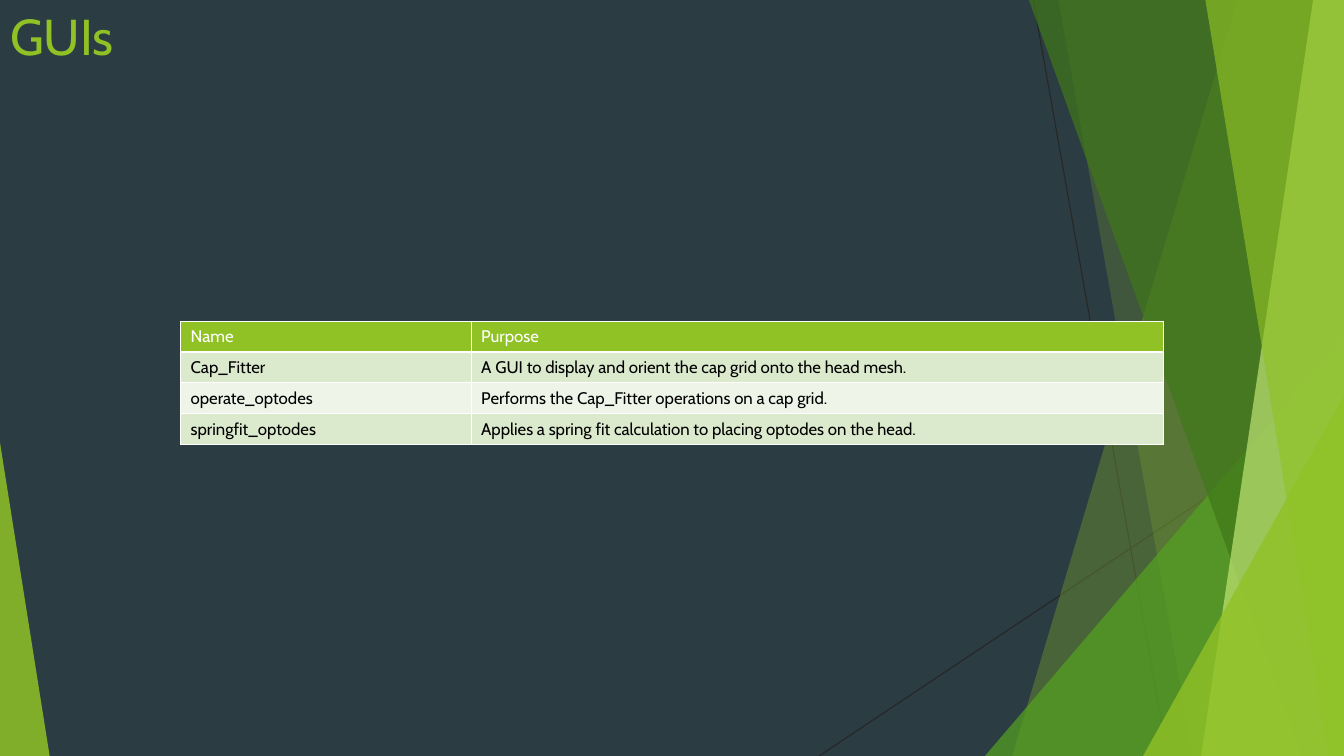
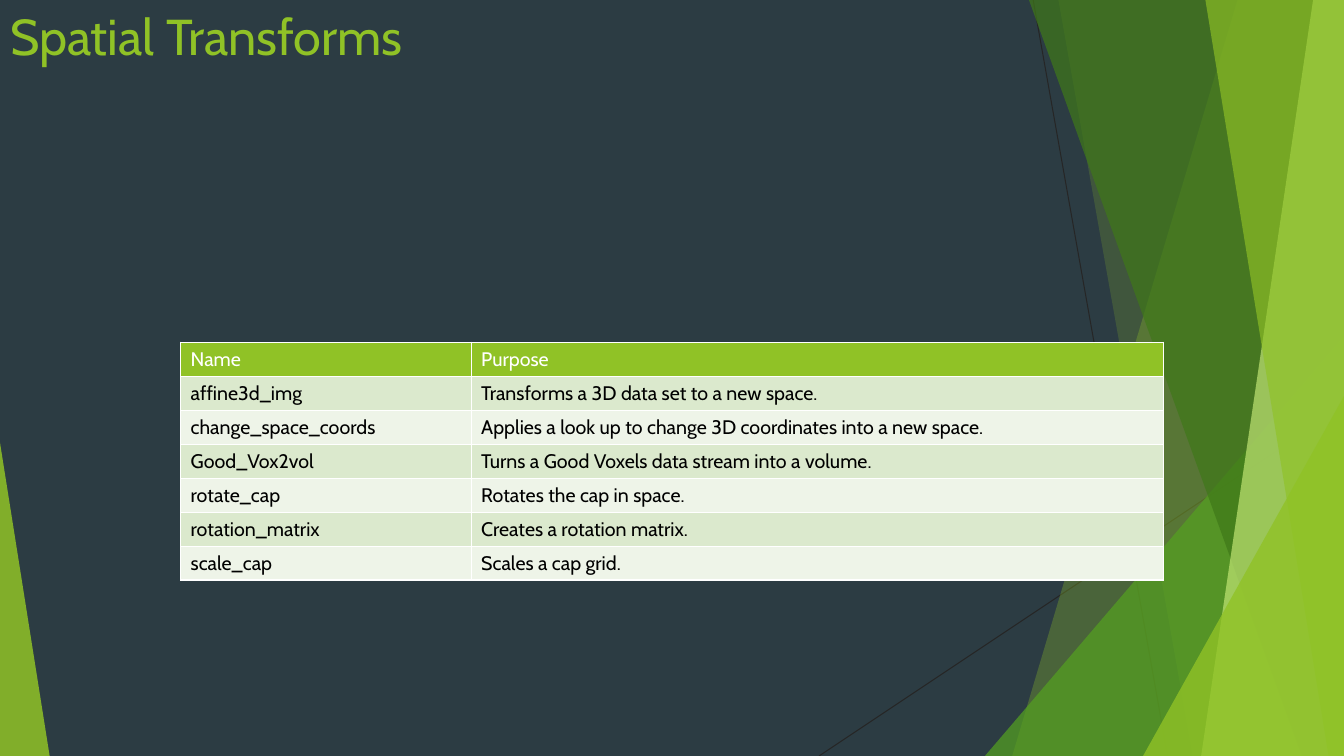
"""Build two reference slides listing the functions of an optode toolkit."""
from lxml import etree
from pptx import Presentation
from pptx.dml.color import RGBColor
from pptx.enum import shapes, text
from pptx.oxml.ns import qn
from pptx.util import Pt

FONT = "Cabin"
WIDTH, HEIGHT = 960, 540
SLATE = RGBColor(0x2C, 0x3C, 0x43)
CHARCOAL = RGBColor(0x26, 0x26, 0x26)
LIME = RGBColor(0x90, 0xC2, 0x26)
LEAF = RGBColor(0x54, 0xA0, 0x21)
FOREST = RGBColor(0x3F, 0x78, 0x19)
PALE_LIME = RGBColor(0xC0, 0xE4, 0x74)
ROW_TINTS = RGBColor(0xDB, 0xE9, 0xCD), RGBColor(0xEE, 0xF4, 0xE8)
WHITE = RGBColor(0xFF, 0xFF, 0xFF)
BLACK = RGBColor(0, 0, 0)

HEADER = ("Name", "Purpose")
PAGES = [
    {
        "title": "GUIs", "top": 229.5, "row_height": 22, "size": 12,
        "functions": [
            ("Cap_Fitter", "A GUI to display and orient the cap grid onto the head mesh."),
            ("operate_optodes", "Performs the Cap_Fitter operations on a cap grid."),
            ("springfit_optodes", "Applies a spring fit calculation to placing optodes on the head."),
        ],
    },
    {
        "title": "Spatial Transforms", "top": 244.5, "row_height": 24.25, "size": 14,
        "functions": [
            ("affine3d_img", "Transforms a 3D data set to a new space."),
            ("change_space_coords", "Applies a look up to change 3D coordinates into a new space."),
            ("Good_Vox2vol", "Turns a Good Voxels data stream into a volume."),
            ("rotate_cap", "Rotates the cap in space."),
            ("rotation_matrix", "Creates a rotation matrix."),
            ("scale_cap", "Scales a cap grid."),
        ],
    },
]
TABLE_LEFT = 129
COLUMN_WIDTHS = (207.5, 494.5)

HAIRLINES = [(738, 0, 834, HEIGHT), (WIDTH, 290, 585, HEIGHT)]
FACETS = [
    ("band", (884, 723), LIME, 30),
    ("band", (756, 852), LIME, 20),
    ("triangle", (703.5, 240, 256.5, 1), LEAF, 72),
    ("band", (735, 930), FOREST, 70),
    ("band", (938, 858), PALE_LIME, 70),
    ("band", (861, 949), LIME, 65),
    ("triangle", (816.5, 283, 143.5, 1), LIME, 80),
    ("triangle", (0, 316, 35.5, 0), LIME, 85),
]


def apply(target, **values):
    for name, value in values.items():
        setattr(target, name, value)


def style_font(font, size, color):
    apply(font, name=FONT, size=Pt(size), bold=False)
    font.color.rgb = color


def add_hairline(slide, ends):
    hairline = slide.shapes.add_connector(shapes.MSO_CONNECTOR.STRAIGHT, *map(Pt, ends))
    hairline.line.width = Pt(0.75)
    hairline.line.color.rgb = CHARCOAL
    etree.SubElement(hairline.element.spPr, qn("a:effectLst"))
    return hairline


def add_band(slide, top_x, bottom_x):
    outline = slide.shapes.build_freeform(top_x, 0, scale=Pt(1))
    outline.add_line_segments([(WIDTH, 0), (WIDTH, HEIGHT), (bottom_x, HEIGHT)])
    return outline.convert_to_shape()


def add_triangle(slide, left, top, width, apex):
    triangle = slide.shapes.add_shape(
        shapes.MSO_SHAPE.ISOSCELES_TRIANGLE, *map(Pt, (left, top, width, HEIGHT - top)))
    triangle.adjustments[0] = apex
    return triangle


def add_facet(slide, kind, geometry, color, opacity):
    facet = {"band": add_band, "triangle": add_triangle}[kind](slide, *geometry)
    facet.shadow.inherit = False
    facet.line.fill.background()
    facet.fill.solid()
    facet.fill.fore_color.rgb = color
    tint = facet.element.spPr.find(".//" + qn("a:srgbClr"))
    etree.SubElement(tint, qn("a:alpha"), val=str(opacity * 1000))
    return facet


def move_backdrop_to_layout(slide, layout):
    layout.background.fill.solid()
    layout.background.fill.fore_color.rgb = SLATE
    layout_title, *footers = layout.placeholders
    for footer in footers:
        footer.element.getparent().remove(footer.element)
    backdrop = [add_hairline(slide, ends) for ends in HAIRLINES]
    backdrop += [add_facet(slide, *facet) for facet in FACETS]
    for part in backdrop:
        layout_title.element.addprevious(part.element)


def set_title(slide, wording):
    title = slide.shapes.title
    apply(title, left=Pt(0), top=Pt(0), width=Pt(677), height=Pt(104))
    frame = title.text_frame
    frame.text = wording
    apply(frame, vertical_anchor=text.MSO_ANCHOR.TOP, word_wrap=True,
          auto_size=text.MSO_AUTO_SIZE.NONE)
    frame.paragraphs[0].alignment = text.PP_ALIGN.LEFT
    style_font(frame.paragraphs[0].runs[0].font, 36, LIME)


def add_borders(cell):
    properties = cell._tc.get_or_add_tcPr()
    for position, side in enumerate(("lnL", "lnR", "lnT", "lnB")):
        border = etree.Element(qn("a:" + side), w=str(Pt(1)))
        fill = etree.SubElement(border, qn("a:solidFill"))
        etree.SubElement(fill, qn("a:srgbClr"), val=str(WHITE))
        properties.insert(position, border)


def add_function_table(slide, page):
    rows = [HEADER, *page["functions"]]
    table = slide.shapes.add_table(
        len(rows), len(HEADER), Pt(TABLE_LEFT), Pt(page["top"]),
        Pt(sum(COLUMN_WIDTHS)), Pt(page["row_height"] * len(rows))).table
    for column, width in zip(table.columns, COLUMN_WIDTHS):
        column.width = Pt(width)
    for r, row in enumerate(rows):
        table.rows[r].height = Pt(page["row_height"])
        fill, ink = (ROW_TINTS[(r - 1) % 2], BLACK) if r else (LIME, WHITE)
        for c, wording in enumerate(row):
            cell = table.cell(r, c)
            cell.text = wording
            cell.fill.solid()
            cell.fill.fore_color.rgb = fill
            style_font(cell.text_frame.paragraphs[0].runs[0].font, page["size"], ink)
            add_borders(cell)


def main():
    deck = Presentation()
    apply(deck, slide_width=Pt(WIDTH), slide_height=Pt(HEIGHT))
    layout = deck.slide_layouts.get_by_name("Title Only")
    slides = [deck.slides.add_slide(layout) for _ in PAGES]
    move_backdrop_to_layout(slides[0], layout)
    for slide, page in zip(slides, PAGES):
        set_title(slide, page["title"])
        add_function_table(slide, page)
    deck.save("out.pptx")


if __name__ == "__main__":
    main()
